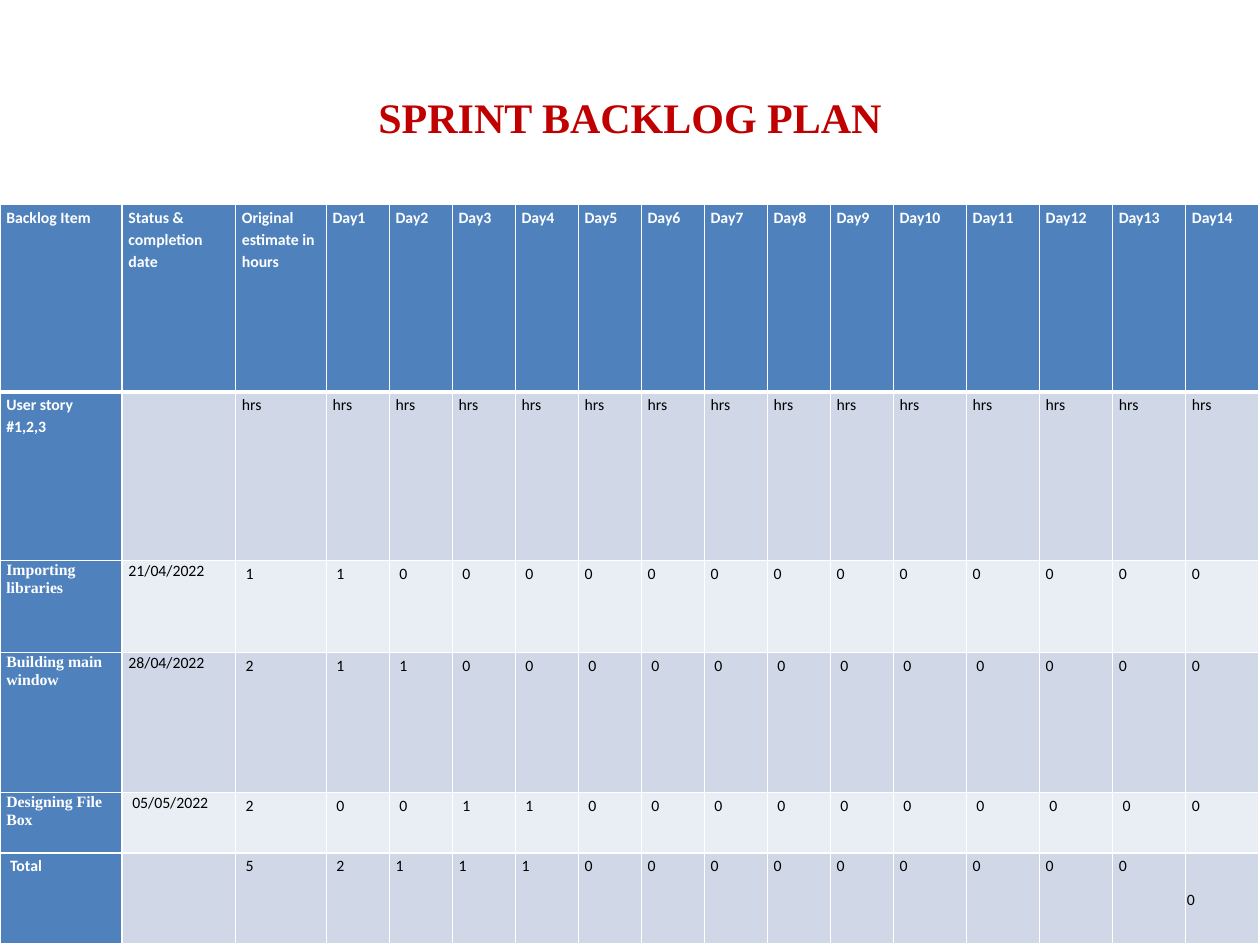
from dataclasses import dataclass

import pptx
import pptx.dml.color
import pptx.enum.text
import pptx.oxml.ns
import pptx.util
from lxml import etree
from pptx.util import Inches


@dataclass(frozen=True)
class Theme:
    title_color: str = "C00000"
    header_fill: str = "4F81BD"
    dark_band: str = "D0D8E8"
    light_band: str = "E9EDF4"
    white: str = "FFFFFF"
    black: str = "000000"
    serif: str = "Times New Roman"
    sans: str = "Calibri"
    title_size: float = 24
    cell_size: float = 9
    line_width: float = 1
    header_line_width: float = 3


@dataclass(frozen=True)
class BacklogRow:
    """A table row; the columns in indented are set slightly to the right."""
    height: float
    item: str
    date: str
    hours: list[str]
    indented: range = range(0)
    is_task: bool = False

    @property
    def texts(self) -> list[str]:
        return [self.item, self.date, *self.hours]


THEME = Theme()
DAYS = 14
COLUMN_WIDTHS = [0.97, 0.9, 0.72] + [0.5] * 9 + [0.58] * 5
CELL_MARGIN = 0.05
CELL_INDENT = 0.03
ROWS = [
    BacklogRow(1.49, "Backlog Item", "Status & completion date",
               ["Original estimate in hours"] + [f"Day{day}" for day in range(1, DAYS + 1)]),
    BacklogRow(1.34, "User story #1,2,3", "", ["hrs"] * (DAYS + 1)),
    BacklogRow(0.73, "Importing libraries", "21/04/2022",
               ["1", "1"] + ["0"] * 13, range(2, 7), is_task=True),
    BacklogRow(1.11, "Building main window", "28/04/2022",
               ["2", "1", "1"] + ["0"] * 12, range(2, 14), is_task=True),
    BacklogRow(0.48, "Designing File Box", "05/05/2022",
               ["2", "0", "0", "1", "1"] + ["0"] * 10, range(1, 16), is_task=True),
    BacklogRow(0.72, "Total", "", ["5", "2", "1", "1", "1"] + ["0"] * 10, range(0, 4)),
]


def write_text(text_frame, text: str, *, size: float, color: str, font: str = THEME.sans,
               bold: bool = False, align=None, line_spacing: float = 1.0,
               space_after: float = 0) -> None:
    paragraph = text_frame.paragraphs[0]
    paragraph.alignment = align
    paragraph.line_spacing = line_spacing
    paragraph.space_after = pptx.util.Pt(space_after)
    paragraph.font.size = pptx.util.Pt(size)
    if text:
        run = paragraph.add_run()
        run.text = text
        run.font.name = font
        run.font.size = pptx.util.Pt(size)
        run.font.bold = bold
        run.font.color.rgb = pptx.dml.color.RGBColor.from_string(color)


def add_borders(cell, top: float, bottom: float) -> None:
    """Draw white borders; must run before the cell gets its fill."""
    properties = cell._tc.get_or_add_tcPr()
    widths = {"L": THEME.line_width, "R": THEME.line_width, "T": top, "B": bottom}
    for side, width in widths.items():
        line = etree.SubElement(properties, pptx.oxml.ns.qn(f"a:ln{side}"),
                                w=str(pptx.util.Pt(width)))
        fill = etree.SubElement(line, pptx.oxml.ns.qn("a:solidFill"))
        etree.SubElement(fill, pptx.oxml.ns.qn("a:srgbClr"), val=THEME.white)


def format_cell(cell, row: BacklogRow, row_index: int, column_index: int) -> None:
    is_header = row_index == 0 or column_index == 0
    band = THEME.dark_band if row_index % 2 else THEME.light_band
    if row is ROWS[-1]:
        band = THEME.dark_band
    add_borders(cell,
                top=THEME.header_line_width if row_index == 1 else THEME.line_width,
                bottom=THEME.header_line_width if row_index == 0 else THEME.line_width)
    cell.fill.solid()
    cell.fill.fore_color.rgb = pptx.dml.color.RGBColor.from_string(
        THEME.header_fill if is_header else band)
    indent = CELL_INDENT if column_index in row.indented else 0
    cell.margin_left = Inches(CELL_MARGIN + indent)
    cell.margin_right = Inches(CELL_MARGIN)
    cell.margin_top = Inches(0.01)
    cell.margin_bottom = 0
    is_compact = row.is_task and column_index < 2
    write_text(cell.text_frame, row.texts[column_index], size=THEME.cell_size,
               color=THEME.white if is_header else THEME.black, bold=is_header,
               font=THEME.serif if row.is_task and column_index == 0 else THEME.sans,
               line_spacing=1.0 if is_compact else 1.15,
               space_after=0 if is_compact else 10)


def add_title(slide) -> None:
    title = slide.shapes.title
    title.left, title.top = Inches(0.5), Inches(0.3)
    title.width, title.height = Inches(9), Inches(1.25)
    title.text_frame.vertical_anchor = pptx.enum.text.MSO_ANCHOR.MIDDLE
    write_text(title.text_frame, "SPRINT BACKLOG PLAN", size=THEME.title_size,
               color=THEME.title_color, font=THEME.serif, bold=True,
               align=pptx.enum.text.PP_ALIGN.CENTER)


def add_backlog_table(slide) -> None:
    table = slide.shapes.add_table(len(ROWS), len(COLUMN_WIDTHS), 0, Inches(1.62),
                                   Inches(10), Inches(5.88)).table
    table.first_col = True
    for column, width in zip(table.columns, COLUMN_WIDTHS):
        column.width = Inches(width)
    for row_index, row in enumerate(ROWS):
        table.rows[row_index].height = Inches(row.height)
        for column_index in range(len(COLUMN_WIDTHS)):
            format_cell(table.cell(row_index, column_index), row, row_index, column_index)

    final_total = table.cell(len(ROWS) - 1, len(COLUMN_WIDTHS) - 1)
    final_total.vertical_anchor = pptx.enum.text.MSO_ANCHOR.MIDDLE
    final_total.margin_left = final_total.margin_right = Inches(0.01)


def main() -> None:
    presentation = pptx.Presentation()
    presentation.slide_width, presentation.slide_height = Inches(10), Inches(7.5)
    slide = presentation.slides.add_slide(presentation.slide_layouts.get_by_name("Title Only"))
    add_title(slide)
    add_backlog_table(slide)
    presentation.save("out.pptx")


if __name__ == "__main__":
    main()
